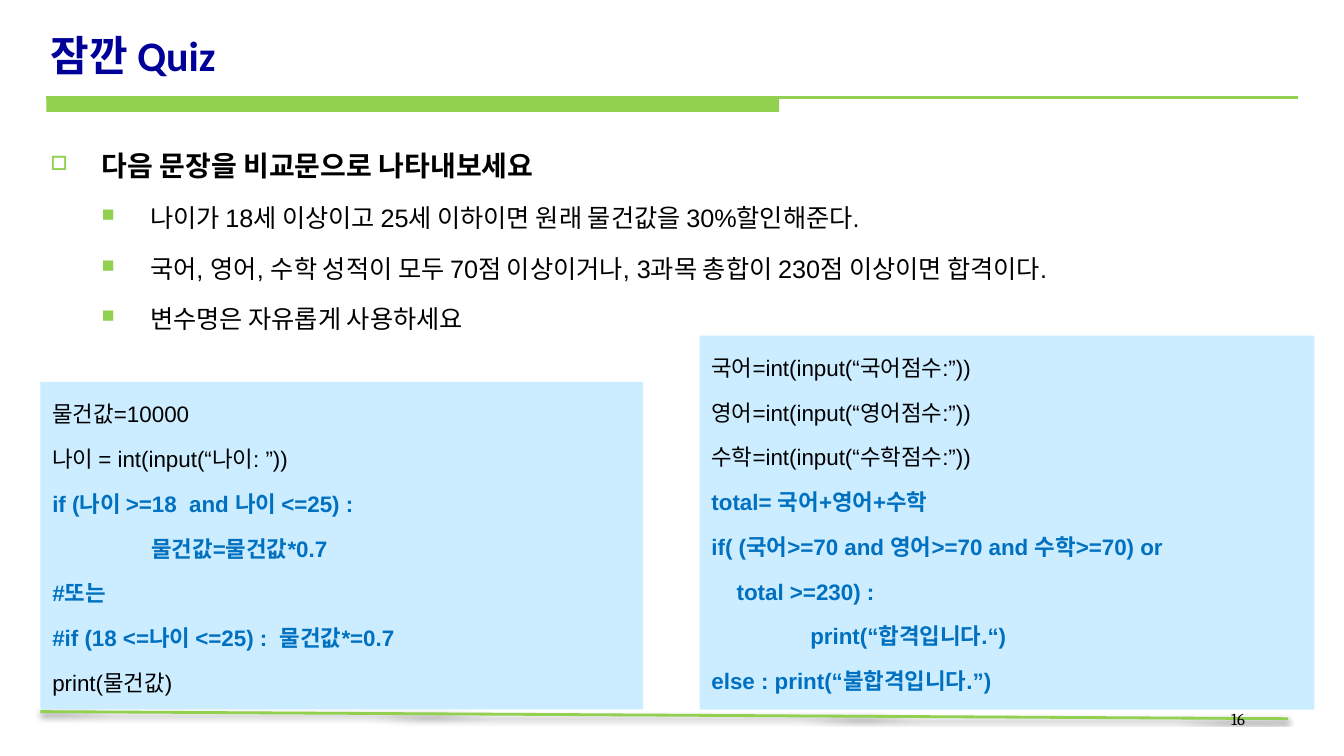
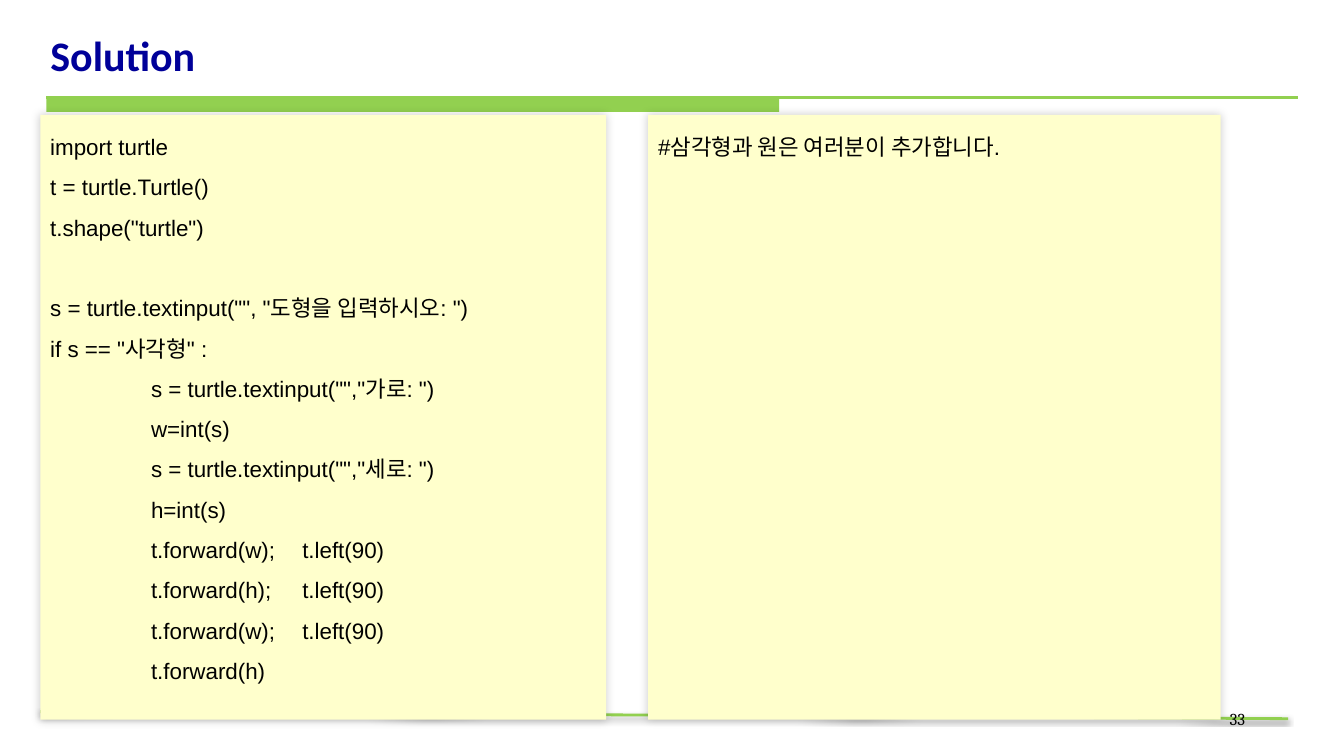
from lxml.etree import SubElement
from pptx import Presentation
from pptx.dml.color import RGBColor
from pptx.enum.shapes import MSO_CONNECTOR, MSO_SHAPE
from pptx.enum.text import MSO_ANCHOR, MSO_AUTO_SIZE, PP_ALIGN
from pptx.oxml.ns import qn
from pptx.util import Inches, Pt

COLORS = {
    "green": "92D050",
    "title": "000099",
    "black": "000000",
    "answer": "0070C0",
    "blue_card": "CCECFF",
    "yellow_card": "FFFFCC",
}

deck = Presentation()
deck.slide_width, deck.slide_height = Inches(13.33), Inches(7.5)


def place(left, top, width, height):
    column, row = deck.slide_width / 100, deck.slide_height / 100
    return [int(left * column), int(top * row), int(width * column), int(height * row)]


def write(para, text, size, color="black", bold=False, font="Arial"):
    span = para.add_run()
    span.text = text
    span.font.name, span.font.size, span.font.bold = font, Pt(size), bold
    span.font.color.rgb = RGBColor.from_string(COLORS[color])


TAB = 1.0
FOUR_SPACES = 0.27
QUIZ_INDENT = 0.02
BLANK_LINE = 28.8

slides = [
    {
        "title": "잠깐 Quiz",
        "number": "16",
        "bullets": [
            ("□", 0.51, 0.51, 20, "다음 문장을 비교문으로 나타내보세요"),
            ("■", 0.99, 0.48, 18, "나이가 18세 이상이고 25세 이하이면 원래 물건값을 30%할인해준다."),
            ("■", 0.99, 0.48, 18, "국어, 영어, 수학 성적이 모두 70점 이상이거나, 3과목 총합이 230점 이상이면 합격이다."),
            ("■", 0.99, 0.48, 18, "변수명은 자유롭게 사용하세요"),
        ],
        "card_fill": "blue_card",
        "card_shadow": False,
        "line_gap": 3.2,
        "cards": [
            ((3, 50.53, 44.85, 43.33), [
                ("물건값=10000", QUIZ_INDENT, "black", 0),
                ("나이 = int(input(“나이: ”))", QUIZ_INDENT, "black", 0),
                ("if (나이 >=18  and 나이 <=25) :", QUIZ_INDENT, "answer", 0),
                ("물건값=물건값*0.7", TAB, "answer", 0),
                ("#또는", QUIZ_INDENT, "answer", 0),
                ("#if (18 <=나이 <=25) :  물건값*=0.7", QUIZ_INDENT, "answer", 0),
                ("print(물건값)", QUIZ_INDENT, "black", 0),
            ]),
            ((52.05, 44.4, 45.75, 49.47), [
                ("국어=int(input(“국어점수:”))", QUIZ_INDENT, "black", 0),
                ("영어=int(input(“영어점수:”))", QUIZ_INDENT, "black", 0),
                ("수학=int(input(“수학점수:”))", QUIZ_INDENT, "black", 0),
                ("total= 국어+영어+수학", QUIZ_INDENT, "answer", 0),
                ("if( (국어>=70 and 영어>=70 and 수학>=70) or", QUIZ_INDENT, "answer", 0),
                ("total >=230) :", FOUR_SPACES, "answer", 0),
                ("print(“합격입니다.“)", TAB, "answer", 0),
                ("else : print(“불합격입니다.”)", QUIZ_INDENT, "answer", 0),
            ]),
        ],
    },
    {
        "title": "Solution",
        "number": "33",
        "bullets": [],
        "card_fill": "yellow_card",
        "card_shadow": True,
        "line_gap": 0,
        "cards": [
            ((3, 15.2, 42.1, 80), [
                ("import turtle", 0, "black", 0),
                ("t = turtle.Turtle()", 0, "black", 0),
                ('t.shape("turtle")', 0, "black", 0),
                ('s = turtle.textinput("", "도형을 입력하시오: ")', 0, "black", BLANK_LINE),
                ('if s == "사각형" :', 0, "black", 0),
                ('s = turtle.textinput("","가로: ")', TAB, "black", 0),
                ("w=int(s)", TAB, "black", 0),
                ('s = turtle.textinput("","세로: ")', TAB, "black", 0),
                ("h=int(s)", TAB, "black", 0),
                ("t.forward(w); \tt.left(90)", TAB, "black", 0),
                ("t.forward(h); \tt.left(90)", TAB, "black", 0),
                ("t.forward(w); \tt.left(90)", TAB, "black", 0),
                ("t.forward(h)", TAB, "black", 0),
            ]),
            ((48.23, 15.2, 42.6, 80), [
                ("#삼각형과 원은 여러분이 추가합니다.", 0, "black", 0),
            ]),
        ],
    },
]

for content in slides:
    page = deck.slides.add_slide(deck.slide_layouts[5])
    shadows = []

    for left, top, width, height, weight, shadow in [
        (3, 94.13, 92.85, 0.94, 2, (38, 3.1, 1.6, 90)),
        (3.45, 12.93, 93.15, 0, 2.25, None),
    ]:
        x, y, across, down = place(left, top, width, height)
        rule = page.shapes.add_connector(MSO_CONNECTOR.STRAIGHT, x, y, x + across, y + down)
        rule.line.color.rgb = RGBColor.from_string(COLORS["green"])
        rule.line.width = Pt(weight)
        shadows.append((rule, shadow))

    band = page.shapes.add_shape(MSO_SHAPE.RECTANGLE, *place(3.45, 12.93, 54.53, 1.87))
    band.shadow.inherit = False
    band.fill.solid()
    band.fill.fore_color.rgb = RGBColor.from_string(COLORS["green"])
    band.line.fill.background()

    title = page.shapes.title
    title.left, title.top, title.width, title.height = place(3, 1.2, 93.6, 10)
    title.text_frame.auto_size = MSO_AUTO_SIZE.NONE
    title.text_frame.vertical_anchor = MSO_ANCHOR.BOTTOM
    para = title.text_frame.paragraphs[0]
    para.alignment = PP_ALIGN.LEFT
    write(para, content["title"], 30, "title", True, "Calibri")

    if content["bullets"]:
        box = page.shapes.add_textbox(*place(3, 16.8, 93.6, 28))
        box.text_frame.word_wrap = True
        for index, (mark, margin, hang, size, text) in enumerate(content["bullets"]):
            para = box.text_frame.add_paragraph() if index else box.text_frame.paragraphs[0]
            para.line_spacing = 1.5
            para.space_before = Pt(size * 0.2)
            properties = para._p.get_or_add_pPr()
            properties.set("marL", str(Inches(margin)))
            properties.set("indent", str(-Inches(hang)))
            bullet_color = SubElement(properties, qn("a:buClr"))
            SubElement(bullet_color, qn("a:srgbClr")).set("val", COLORS["green"])
            SubElement(properties, qn("a:buSzPct")).set("val", "70000")
            SubElement(properties, qn("a:buChar")).set("char", mark)
            write(para, text, size, bold=index == 0)

    for area, lines in content["cards"]:
        card = page.shapes.add_shape(MSO_SHAPE.RECTANGLE, *place(*area))
        card.fill.solid()
        card.fill.fore_color.rgb = RGBColor.from_string(COLORS[content["card_fill"]])
        card.line.fill.background()
        shadows.append((card, (20, 6, 0, 315) if content["card_shadow"] else None))
        frame = card.text_frame
        frame.word_wrap = True
        frame.vertical_anchor = MSO_ANCHOR.TOP
        for index, (text, indent, color, gap) in enumerate(lines):
            para = frame.add_paragraph() if index else frame.paragraphs[0]
            para.alignment = PP_ALIGN.LEFT
            para.line_spacing = 1.5
            para.space_before = Pt(content["line_gap"] + gap)
            para._p.get_or_add_pPr().set("marL", str(Inches(indent)))
            write(para, text, 16, color, color == "answer")

    for shape, shadow in shadows:
        effects = SubElement(shape._element.spPr, qn("a:effectLst"))
        if shadow:
            alpha, blur, distance, angle = shadow
            outer = SubElement(effects, qn("a:outerShdw"))
            outer.set("blurRad", str(Pt(blur)))
            outer.set("dist", str(Pt(distance)))
            outer.set("dir", str(angle * 60000))
            outer.set("rotWithShape", "0")
            tint = SubElement(outer, qn("a:srgbClr"))
            tint.set("val", COLORS["black"])
            SubElement(tint, qn("a:alpha")).set("val", str(alpha * 1000))

    number = page.shapes.add_textbox(*place(71.7, 93.07, 21.68, 6.93))
    number.text_frame.word_wrap = True
    para = number.text_frame.paragraphs[0]
    para.alignment = PP_ALIGN.RIGHT
    write(para, content["number"], 12, font="Cambria")

deck.save("out.pptx")
